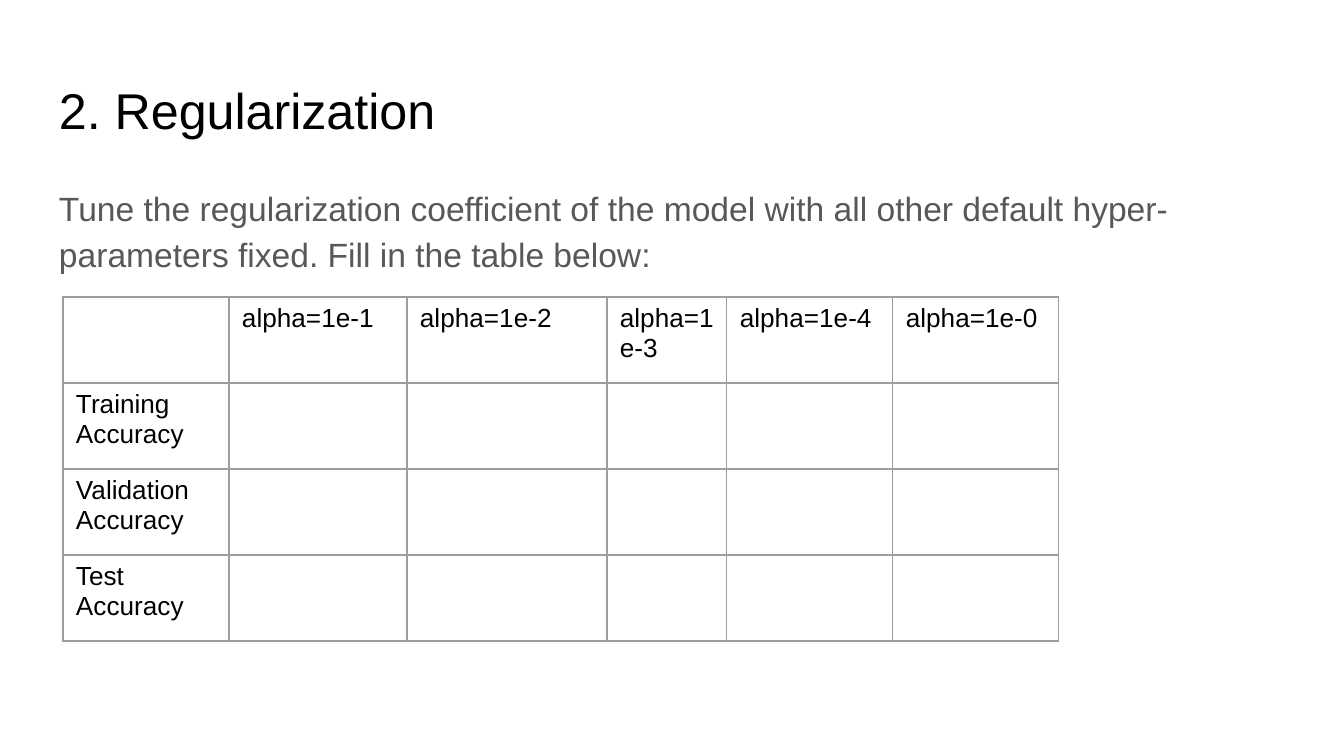
import pptx
import pptx.dml.color
import pptx.enum.text
import pptx.oxml
import pptx.oxml.ns
import pptx.util

EMU_PER_PX = 914400 / 134.4
FONT = "Arial"
BLACK = "000000"
GRAY = "585858"
BORDER = "9E9E9E"
COLUMN_WIDTHS = [166, 178, 200, 120, 166, 166]
ROW_HEIGHT = 86
HEADERS = ["", "alpha=1e-1", "alpha=1e-2", "alpha=1e-3", "alpha=1e-4", "alpha=1e-0"]
METRICS = ["Training Accuracy", "Validation Accuracy", "Test Accuracy"]


def px(n):
    return pptx.util.Emu(round(n * EMU_PER_PX))


def color(value):
    return pptx.dml.color.RGBColor.from_string(value)


def add_run(p, text, size, fill):
    r = p.add_run()
    r.text = text
    r.font.name = FONT
    r.font.size = pptx.util.Pt(size)
    r.font.color.rgb = color(fill)


def set_margins(target, side, top):
    target.margin_left = target.margin_right = px(side)
    target.margin_top = target.margin_bottom = px(top)


def add_text(s, x, y, w, h, text, size, fill):
    tf = s.shapes.add_textbox(px(x), px(y), px(w), px(h)).text_frame
    tf.word_wrap = True
    tf.vertical_anchor = pptx.enum.text.MSO_ANCHOR.TOP
    set_margins(tf, 13, 13)
    p = tf.paragraphs[0]
    add_run(p, text, size, fill)
    return p


def set_borders(cell):
    tcPr = cell._tc.get_or_add_tcPr()
    for i, side in enumerate(["lnL", "lnR", "lnT", "lnB"]):
        tcPr.insert(i, pptx.oxml.parse_xml(
            f'<a:{side} {pptx.oxml.ns.nsdecls("a")} w="{pptx.util.Pt(0.75)}">'
            f'<a:solidFill><a:srgbClr val="{BORDER}"/></a:solidFill></a:{side}>'))


def add_accuracy_table(s, x, y):
    rows = [HEADERS] + [[m] + [""] * (len(HEADERS) - 1) for m in METRICS]
    table = s.shapes.add_table(
        len(rows), len(HEADERS), px(x), px(y),
        px(sum(COLUMN_WIDTHS)), px(ROW_HEIGHT * len(rows))).table
    table.first_row = False
    table.horz_banding = False
    for column, width in zip(table.columns, COLUMN_WIDTHS):
        column.width = px(width)
    for i, row in enumerate(rows):
        table.rows[i].height = px(ROW_HEIGHT)
        for j, text in enumerate(row):
            cell = table.cell(i, j)
            set_margins(cell, 13, 7)
            cell.fill.background()
            set_borders(cell)
            if text:
                add_run(cell.text_frame.paragraphs[0], text, 14, BLACK)


def main():
    prs = pptx.Presentation()
    prs.slide_width, prs.slide_height = px(1344), px(756)
    s = prs.slides.add_slide(prs.slide_layouts[6])
    add_text(s, 46, 66, 1252, 84, "2. Regularization", 26.9, BLACK)
    p = add_text(
        s, 46, 169, 1252, 503,
        "Tune the regularization coefficient of the model with all other default "
        "hyper-parameters fixed. Fill in the table below:", 18, GRAY)
    p.line_spacing = 1.15
    p.space_before = pptx.util.Pt(16)
    add_accuracy_table(s, 63, 297)
    prs.save("out.pptx")


if __name__ == "__main__":
    main()
